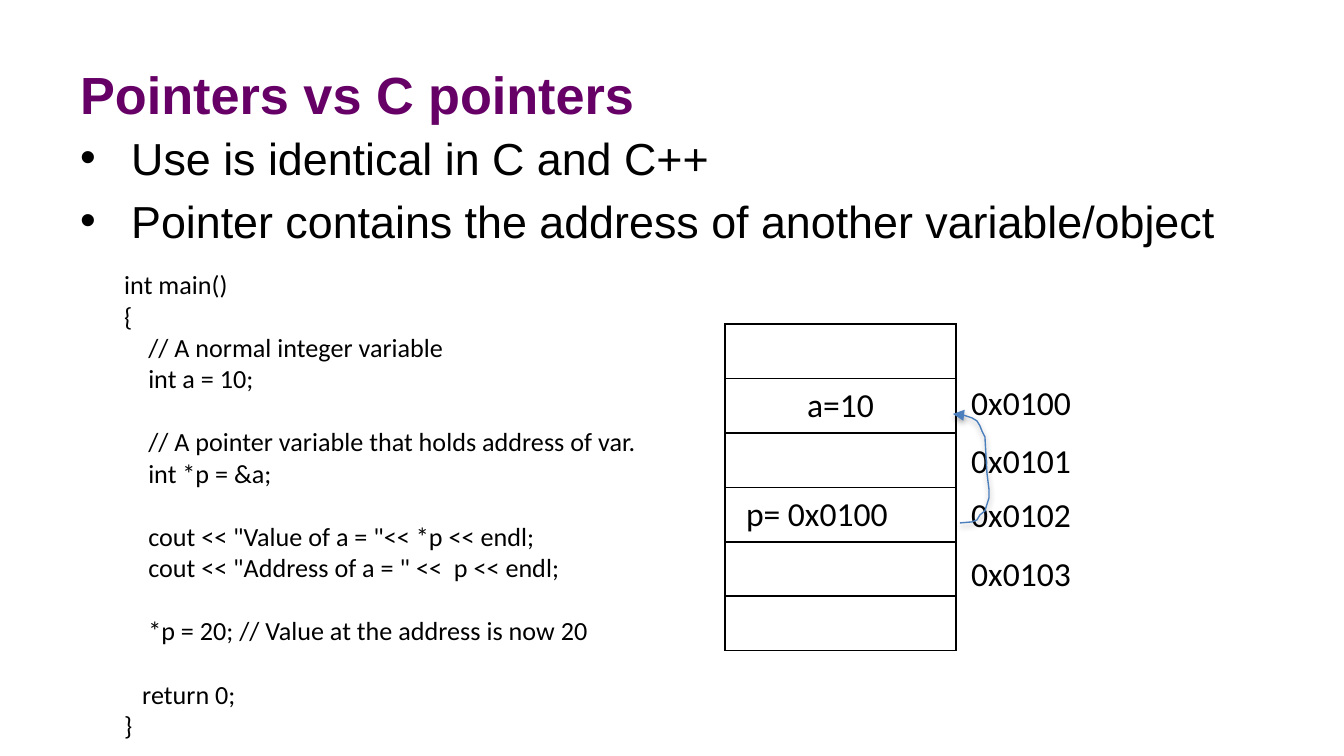
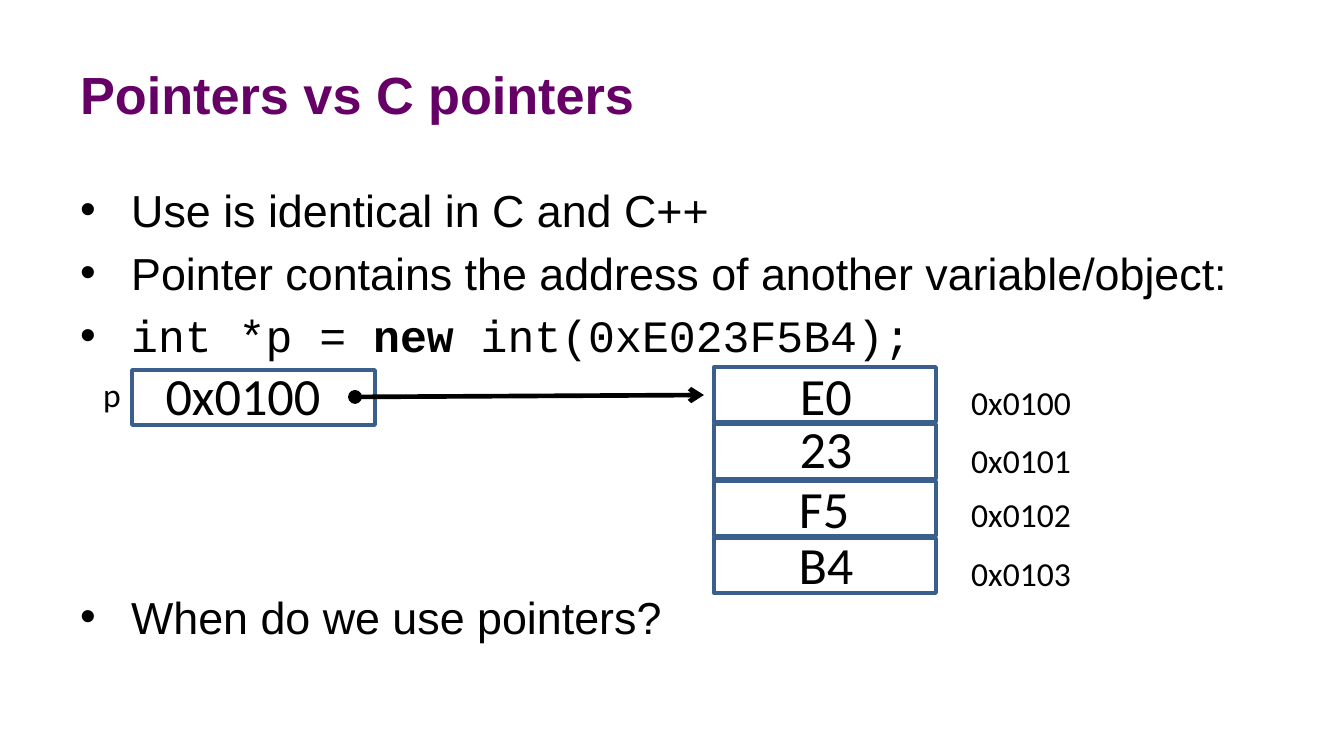
import pptx
import pptx.util
import pptx.dml.color
import pptx.enum.shapes
import pptx.enum.text
import pptx.oxml.ns
from lxml import etree

SCALE = 914400 / 134.4
PURPLE, BLACK, WHITE = "660066", "000000", "FFFFFF"
BOX_BLUE, CURVE_BLUE = "3A5F8C", "4B7EBC"
TITLE = "Pointers vs C pointers"
BODY_FONT, NOTE_FONT, CODE_FONT = "Arial", "Calibri", "Courier New"
ADDRESSES = [("0x0100", 375), ("0x0101", 433), ("0x0102", 487), ("0x0103", 546)]
CENTER = pptx.enum.text.PP_ALIGN.CENTER
MIDDLE = pptx.enum.text.MSO_ANCHOR.MIDDLE

CODE = [
    ("int main()", 0, False),
    ("{", 0, False),
    ("// A normal integer variable", 24, False),
    ("int a = 10;", 24, False),
    ("// A pointer variable that holds address of var.", 24, True),
    ("int *p = &a;", 24, False),
    ('cout << "Value of a = "<< *p << endl;', 24, True),
    ('cout << "Address of a = " <<  p << endl;', 24, False),
    ("*p = 20; // Value at the address is now 20", 24, True),
    ("return 0;", 18, True),
    ("}", 0, False),
]
CURVE = [
    (960, 523), (972, 522), (977, 520), (980, 515), (985, 511),
    (989, 498), (989, 489), (987, 473), (985, 437), (982, 431),
    (980, 426), (977, 421), (972, 418), (960, 414), (953, 414),
]


def px(n):
    return round(n * SCALE)


def rgb(color):
    return pptx.dml.color.RGBColor.from_string(color)


def sub(parent, tag, **attrs):
    return etree.SubElement(parent, pptx.oxml.ns.qn(tag), attrs)


def format_runs(p, size, font, color=BLACK, bold=False):
    for r in p.runs:
        r.font.size = pptx.util.Pt(size)
        r.font.name = font
        r.font.bold = bold
        r.font.color.rgb = rgb(color)


def add_frame(slide, x, y, w, h, wrap=True):
    sp = slide.shapes.add_textbox(px(x), px(y), px(w), px(h))
    sp.text_frame.word_wrap = wrap
    return sp


def add_label(slide, text, x, y, w, h, size, align=None, wrap=True):
    tf = add_frame(slide, x, y, w, h, wrap).text_frame
    tf.text = text
    p = tf.paragraphs[0]
    p.alignment = align
    format_runs(p, size, NOTE_FONT)


def add_title(slide):
    tf = add_frame(slide, 67, 31, 1210, 126).text_frame
    tf.vertical_anchor = MIDDLE
    tf.text = TITLE
    format_runs(tf.paragraphs[0], 28, BODY_FONT, PURPLE, True)


def next_paragraph(tf, i):
    return tf.add_paragraph() if i else tf.paragraphs[0]


def add_bullets(slide, y, items):
    tf = add_frame(slide, 67, y, 1210, 519).text_frame
    for i, (text, font, gap) in enumerate(items):
        p = next_paragraph(tf, i)
        p.text = text
        format_runs(p, 24, font)
        pPr = p._p.get_or_add_pPr()
        pPr.set("marL", str(px(51)))
        pPr.set("indent", str(-px(51)))
        before = sub(pPr, "a:spcBef")
        if gap:
            sub(before, "a:spcPts", val=str(gap * 100))
        else:
            sub(before, "a:spcPct", val="20000")
        sub(pPr, "a:buFont", typeface=BODY_FONT)
        sub(pPr, "a:buChar", char="•")
    return tf


def embolden_word(p, word):
    before, after = p.text.split(word)
    size, font = p.runs[0].font.size.pt, p.runs[0].font.name
    p.runs[0].text = before
    p.add_run().text = word
    p.add_run().text = after
    format_runs(p, size, font)
    p.runs[1].font.bold = True


def add_addresses(slide):
    for text, y in ADDRESSES:
        add_label(slide, text, 958, y, 128, 54, 18, wrap=False)


def add_code(slide):
    sp = add_frame(slide, 111, 262, 548, 489)
    sp.fill.solid()
    sp.fill.fore_color.rgb = rgb(WHITE)
    for i, (text, indent, gap) in enumerate(CODE):
        p = next_paragraph(sp.text_frame, i)
        p.text = text
        format_runs(p, 14, NOTE_FONT)
        p._p.get_or_add_pPr().set("marL", str(px(indent)))
        if gap:
            p.space_before = pptx.util.Pt(17)


def border_cell(cell):
    tcPr = cell._tc.get_or_add_tcPr()
    for i, side in enumerate(("a:lnL", "a:lnR", "a:lnT", "a:lnB")):
        ln = etree.Element(pptx.oxml.ns.qn(side), w="12700")
        sub(sub(ln, "a:solidFill"), "a:srgbClr", val=BLACK)
        tcPr.insert(i, ln)


def add_memory_table(slide, texts):
    frame = slide.shapes.add_table(len(texts), 1, px(725), px(324), px(231), px(327))
    table = frame.table
    table.first_row = table.horz_banding = False
    for i, text in enumerate(texts):
        cell = table.cell(i, 0)
        cell.fill.background()
        border_cell(cell)
        cell.text = text
        p = cell.text_frame.paragraphs[0]
        format_runs(p, 18, NOTE_FONT)
        if text.startswith("a"):
            p.alignment = CENTER


def add_arrowheads(sp, tail, head=None):
    ln = sp.line._get_or_add_ln()
    if head:
        sub(ln, "a:headEnd", type=head)
    sub(ln, "a:tailEnd", type=tail)


def add_curve(slide):
    start, *rest = CURVE
    builder = slide.shapes.build_freeform(*start, scale=SCALE)
    builder.add_line_segments(rest, close=False)
    sp = builder.convert_to_shape()
    sp.fill.background()
    sp.line.color.rgb = rgb(CURVE_BLUE)
    sp.line.width = pptx.util.Pt(0.75)
    add_arrowheads(sp, "triangle")
    effects = sub(sp._element.spPr, "a:effectLst")
    shadow = sub(effects, "a:outerShdw", blurRad="40000", dist="23000", dir="5400000", rotWithShape="0")
    sub(sub(shadow, "a:srgbClr", val=BLACK), "a:alpha", val="35000")


def add_box(slide, x, y, w, h=55):
    sp = slide.shapes.add_shape(pptx.enum.shapes.MSO_SHAPE.RECTANGLE, px(x), px(y), px(w), px(h))
    sp.shadow.inherit = False
    sp.fill.background()
    sp.line.color.rgb = rgb(BOX_BLUE)
    sp.line.width = pptx.util.Pt(2)


def add_pointer_arrow(slide, x1, y1, x2, y2):
    line = pptx.enum.shapes.MSO_CONNECTOR.STRAIGHT
    sp = slide.shapes.add_connector(line, px(x1), px(y1), px(x2), px(y2))
    sp.line.color.rgb = rgb(BLACK)
    sp.line.width = pptx.util.Pt(2.5)
    add_arrowheads(sp, "arrow", "oval")
    sub(sp._element.spPr, "a:effectLst")


def new_slide(prs):
    slide = prs.slides.add_slide(prs.slide_layouts[6])
    add_title(slide)
    return slide


def build_code_slide(prs):
    slide = new_slide(prs)
    add_bullets(slide, 124, [
        ("Use is identical in C and C++", BODY_FONT, 0),
        ("Pointer contains the address of another variable/object", BODY_FONT, 0),
    ])
    add_addresses(slide)
    add_memory_table(slide, ["", "a=10", "", " p= 0x0100", "", ""])
    add_code(slide)
    add_curve(slide)


def build_bytes_slide(prs):
    slide = new_slide(prs)
    tf = add_bullets(slide, 176, [
        ("Use is identical in C and C++", BODY_FONT, 0),
        ("Pointer contains the address of another variable/object:", BODY_FONT, 0),
        ("int *p = new int(0xE023F5B4);", CODE_FONT, 0),
        ("When do we use pointers?", BODY_FONT, 122),
    ])
    embolden_word(tf.paragraphs[2], "new ")
    add_box(slide, 132, 370, 243)
    add_label(slide, "p", 90, 367, 44, 54, 18, wrap=False)
    for i in range(4):
        add_box(slide, 714, 367 + 57 * i, 222)
    for text, x, y in [("E0", 716, 357), ("23", 716, 410), ("F5", 714, 470), ("B4", 716, 526)]:
        add_label(slide, text, x, y, 220, 77, 28, CENTER)
    add_addresses(slide)
    add_label(slide, "0x0100", 132, 357, 222, 77, 28, CENTER)
    add_pointer_arrow(slide, 355, 397, 704, 395)


def main():
    prs = pptx.Presentation()
    prs.slide_width, prs.slide_height = px(1344), px(756)
    build_code_slide(prs)
    build_bytes_slide(prs)
    prs.save("out.pptx")


if __name__ == "__main__":
    main()
